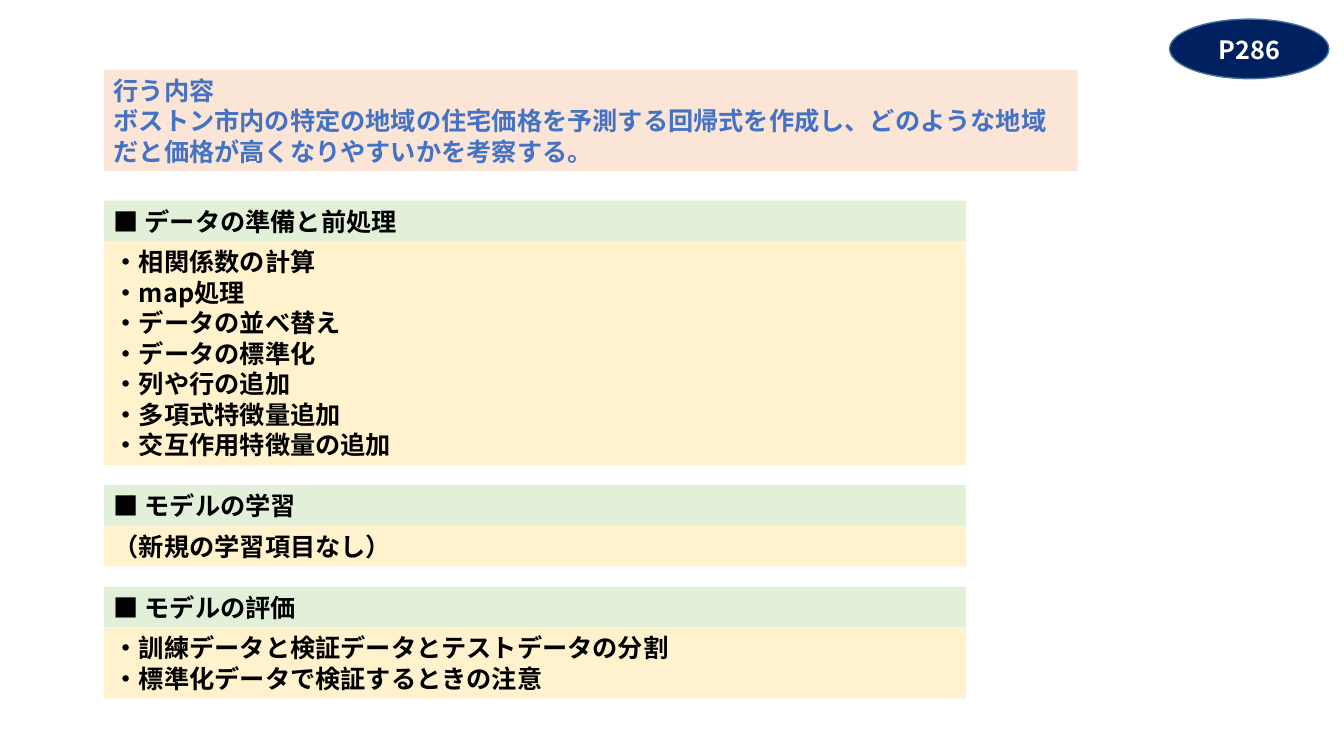
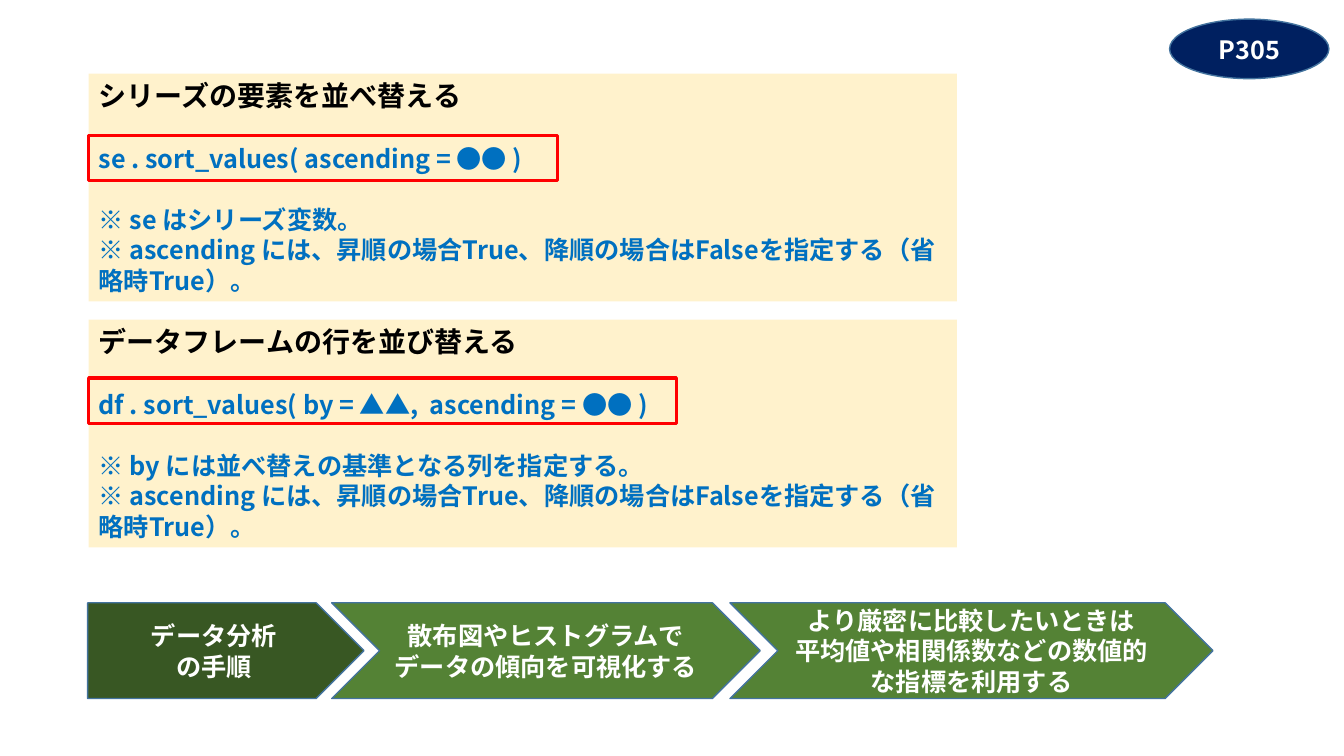
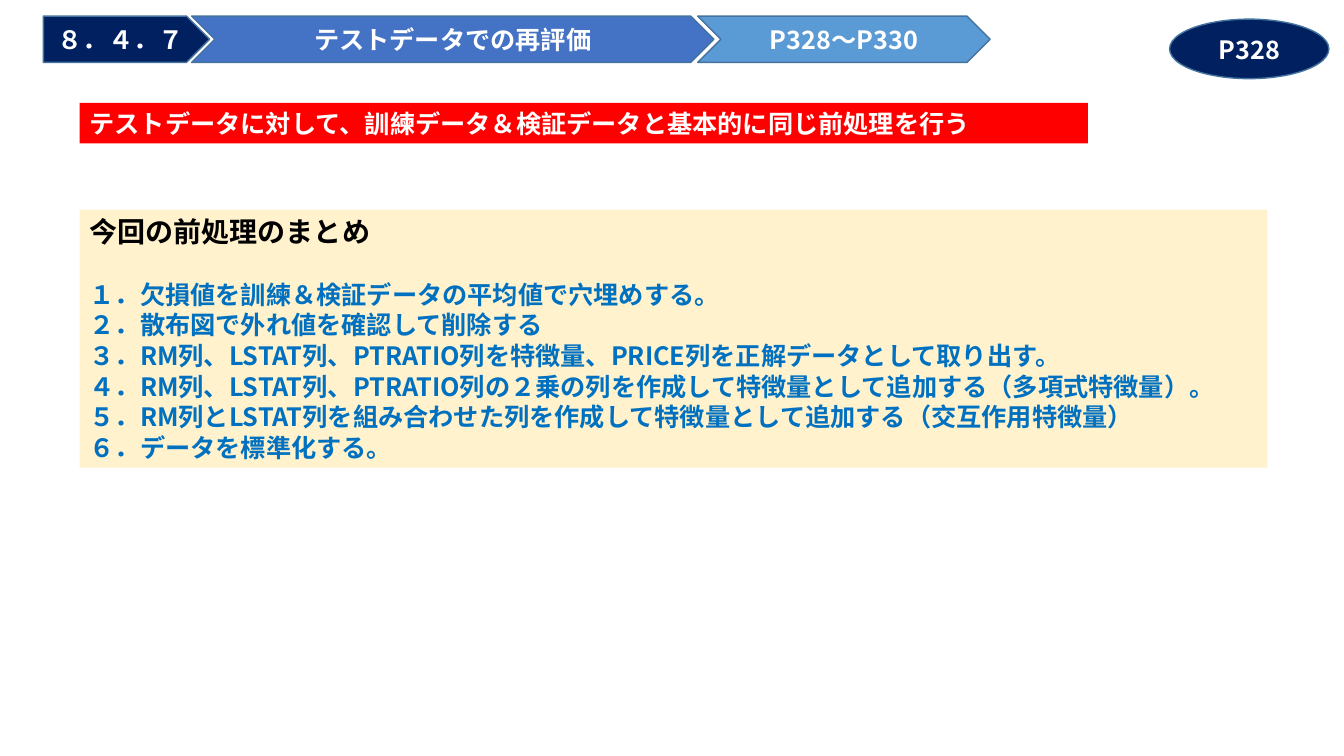
from dataclasses import dataclass

from pptx import Presentation
from pptx.dml.color import RGBColor
from pptx.enum.shapes import MSO_SHAPE
from pptx.enum.text import MSO_ANCHOR, PP_ALIGN
from pptx.oxml.ns import qn
from pptx.util import Inches, Pt
from lxml import etree

RECTANGLE = MSO_SHAPE.RECTANGLE
ELLIPSE = MSO_SHAPE.OVAL
PENTAGON = MSO_SHAPE.PENTAGON
CHEVRON = MSO_SHAPE.CHEVRON
TOP, MIDDLE = MSO_ANCHOR.TOP, MSO_ANCHOR.MIDDLE
LEFT, CENTER = PP_ALIGN.LEFT, PP_ALIGN.CENTER

FONT = "Noto Sans CJK JP"
HEADING_FONT = "Courier New"
BLACK, WHITE, RED = "000000", "FFFFFF", "FF0000"
NAVY, BLUE, SKY, CODE_BLUE = "002060", "4472C4", "5B9BD5", "0070C0"
CREAM, MINT, PEACH = "FFF2CC", "E2F0D9", "FBE5D6"
DARK_GREEN, GREEN, OUTLINE = "385723", "548235", "43739E"
LINE_RATIO = 1.21
BODY_SIZE, TITLE_SIZE = 18, 20
BLANK_LINE = 21.8
LINE_HEIGHT, PADDING = 0.303, 0.1


@dataclass(frozen=True)
class Box:
    left: float
    top: float
    width: float
    height: float


@dataclass(frozen=True)
class Line:
    text: str
    color: str = BLACK
    size: int = BODY_SIZE
    font: str = FONT
    space_before: float = 0


@dataclass(frozen=True)
class Section:
    heading: str
    items: tuple[str, ...]


@dataclass(frozen=True)
class Panel:
    title: str
    code: str
    notes: tuple[str, ...]
    frame_offset: float
    frame_width: float


@dataclass(frozen=True)
class Step:
    lines: tuple[str, ...]
    left: float
    width: float
    fill: str


def color(value: str) -> RGBColor:
    return RGBColor.from_string(value)


def add_box(slide, kind, box: Box, fill: str = "", outline: str = "", outline_width: float = 1):
    shape = slide.shapes.add_shape(
        kind, Inches(box.left), Inches(box.top), Inches(box.width), Inches(box.height)
    )
    shape.shadow.inherit = False
    if fill:
        shape.fill.solid()
        shape.fill.fore_color.rgb = color(fill)
    else:
        shape.fill.background()
    if outline:
        shape.line.color.rgb = color(outline)
        shape.line.width = Pt(outline_width)
    else:
        shape.line.fill.background()
    return shape


def write(shape, lines: list[Line], alignment=LEFT, anchor=TOP) -> None:
    frame = shape.text_frame
    frame.word_wrap = True
    frame.vertical_anchor = anchor
    for index, line in enumerate(lines):
        paragraph = frame.add_paragraph() if index else frame.paragraphs[0]
        paragraph.alignment = alignment
        paragraph.line_spacing = Pt(round(line.size * LINE_RATIO, 1))
        if line.space_before:
            paragraph.space_before = Pt(line.space_before)
        run = paragraph.add_run()
        run.text = line.text
        run.font.size = Pt(line.size)
        run.font.bold = True
        run.font.name = line.font
        run.font.color.rgb = color(line.color)
        properties = run.font._element
        east_asian = etree.SubElement(properties, qn("a:ea"))
        east_asian.set("typeface", FONT)


def add_text_panel(slide, box: Box, fill: str, lines: list[Line]) -> None:
    write(add_box(slide, RECTANGLE, box, fill), lines)


def add_badge(slide, kind, box: Box, fill: str, lines: tuple[str, ...]) -> None:
    shape = add_box(slide, kind, box, fill, OUTLINE)
    write(shape, [Line(text, WHITE) for text in lines], CENTER, MIDDLE)


def add_steps(slide, top: float, height: float, steps: list[Step]) -> None:
    for index, step in enumerate(steps):
        kind = CHEVRON if index else PENTAGON
        add_badge(slide, kind, Box(step.left, top, step.width, height), step.fill, step.lines)


def add_page_slide(presentation, page: str):
    slide = presentation.slides.add_slide(presentation.slide_layouts[6])
    add_badge(slide, ELLIPSE, Box(11.6, 0.19, 1.58, 0.59), NAVY, (page,))
    return slide


def height_of(line_count: int) -> float:
    return PADDING + line_count * LINE_HEIGHT


def build_overview(presentation) -> None:
    slide = add_page_slide(presentation, "P286")
    left, width, gap = 1.03, 8.55, 0.2
    purpose = (
        "行う内容",
        "ボストン市内の特定の地域の住宅価格を予測する回帰式を作成し、どのような地域だと価格が高くなりやすいかを考察する。",
    )
    add_text_panel(
        slide, Box(left, 0.69, 9.66, height_of(3)), PEACH, [Line(text, BLUE) for text in purpose]
    )
    sections = [
        Section(
            "■ データの準備と前処理",
            (
                "・相関係数の計算",
                "・map処理",
                "・データの並べ替え",
                "・データの標準化",
                "・列や行の追加",
                "・多項式特徴量追加",
                "・交互作用特徴量の追加",
            ),
        ),
        Section("■ モデルの学習", ("（新規の学習項目なし）",)),
        Section(
            "■ モデルの評価",
            (
                "・訓練データと検証データとテストデータの分割",
                "・標準化データで検証するときの注意",
            ),
        ),
    ]
    top = 1.99
    for section in sections:
        heading_height = height_of(1)
        body_height = height_of(len(section.items))
        heading = Line(section.heading, font=HEADING_FONT)
        add_text_panel(slide, Box(left, top, width, heading_height), MINT, [heading])
        top += heading_height
        body = [Line(item) for item in section.items]
        add_text_panel(slide, Box(left, top, width, body_height), CREAM, body)
        top += body_height + gap


def build_sorting(presentation) -> None:
    slide = add_page_slide(presentation, "P305")
    left, first_top, pitch = 0.88, 0.73, 2.44
    ascending_note = "※ ascending には、昇順の場合True、降順の場合はFalseを指定する（省略時True）。"
    panels = [
        Panel(
            "シリーズの要素を並べ替える",
            "se . sort_values( ascending = ●● )",
            ("※ se はシリーズ変数。", ascending_note),
            0.61,
            4.65,
        ),
        Panel(
            "データフレームの行を並び替える",
            "df . sort_values( by = ▲▲,  ascending = ●● )",
            ("※ by には並べ替えの基準となる列を指定する。", ascending_note),
            0.58,
            5.83,
        ),
    ]
    for index, panel in enumerate(panels):
        top = first_top + index * pitch
        first_note, *other_notes = panel.notes
        lines = [
            Line(panel.title, size=TITLE_SIZE),
            Line(panel.code, CODE_BLUE, space_before=BLANK_LINE),
            Line(first_note, CODE_BLUE, space_before=BLANK_LINE),
        ]
        lines += [Line(note, CODE_BLUE) for note in other_notes]
        add_text_panel(slide, Box(left, top, 8.61, 2.26), CREAM, lines)
        code_frame = Box(left, top + panel.frame_offset, panel.frame_width, 0.45)
        add_box(slide, RECTANGLE, code_frame, outline=RED, outline_width=2.25)
    steps = [
        Step(("データ分析", "の手順"), 0.87, 2.74, DARK_GREEN),
        Step(("散布図やヒストグラムで", "データの傾向を可視化する"), 3.29, 4.25, GREEN),
        Step(
            ("より厳密に比較したいときは", "平均値や相関係数などの数値的な指標を利用する"),
            7.24,
            4.79,
            GREEN,
        ),
    ]
    add_steps(slide, 5.98, 0.95, steps)


def build_evaluation(presentation) -> None:
    slide = add_page_slide(presentation, "P328")
    left = 0.79
    steps = [
        Step(("８．４．７",), 0.43, 1.65, NAVY),
        Step(("テストデータでの再評価",), 1.9, 5.18, BLUE),
        Step(("P328～P330",), 6.92, 2.9, SKY),
    ]
    add_steps(slide, 0.16, 0.46, steps)
    message = Line("テストデータに対して、訓練データ＆検証データと基本的に同じ前処理を行う", WHITE)
    add_text_panel(slide, Box(left, 1.02, 10, height_of(1)), RED, [message])
    first_item, *other_items = (
        "１．欠損値を訓練＆検証データの平均値で穴埋めする。",
        "２．散布図で外れ値を確認して削除する",
        "３．RM列、LSTAT列、PTRATIO列を特徴量、PRICE列を正解データとして取り出す。",
        "４．RM列、LSTAT列、PTRATIO列の２乗の列を作成して特徴量として追加する（多項式特徴量）。",
        "５．RM列とLSTAT列を組み合わせた列を作成して特徴量として追加する（交互作用特徴量）",
        "６．データを標準化する。",
    )
    summary = [
        Line("今回の前処理のまとめ", size=TITLE_SIZE),
        Line(first_item, CODE_BLUE, space_before=BLANK_LINE),
    ]
    summary += [Line(item, CODE_BLUE) for item in other_items]
    add_text_panel(slide, Box(left, 2.08, 11.78, 2.56), CREAM, summary)


def main() -> None:
    presentation = Presentation()
    presentation.slide_width = Inches(13.33)
    presentation.slide_height = Inches(7.5)
    build_overview(presentation)
    build_sorting(presentation)
    build_evaluation(presentation)
    presentation.save("out.pptx")


if __name__ == "__main__":
    main()
